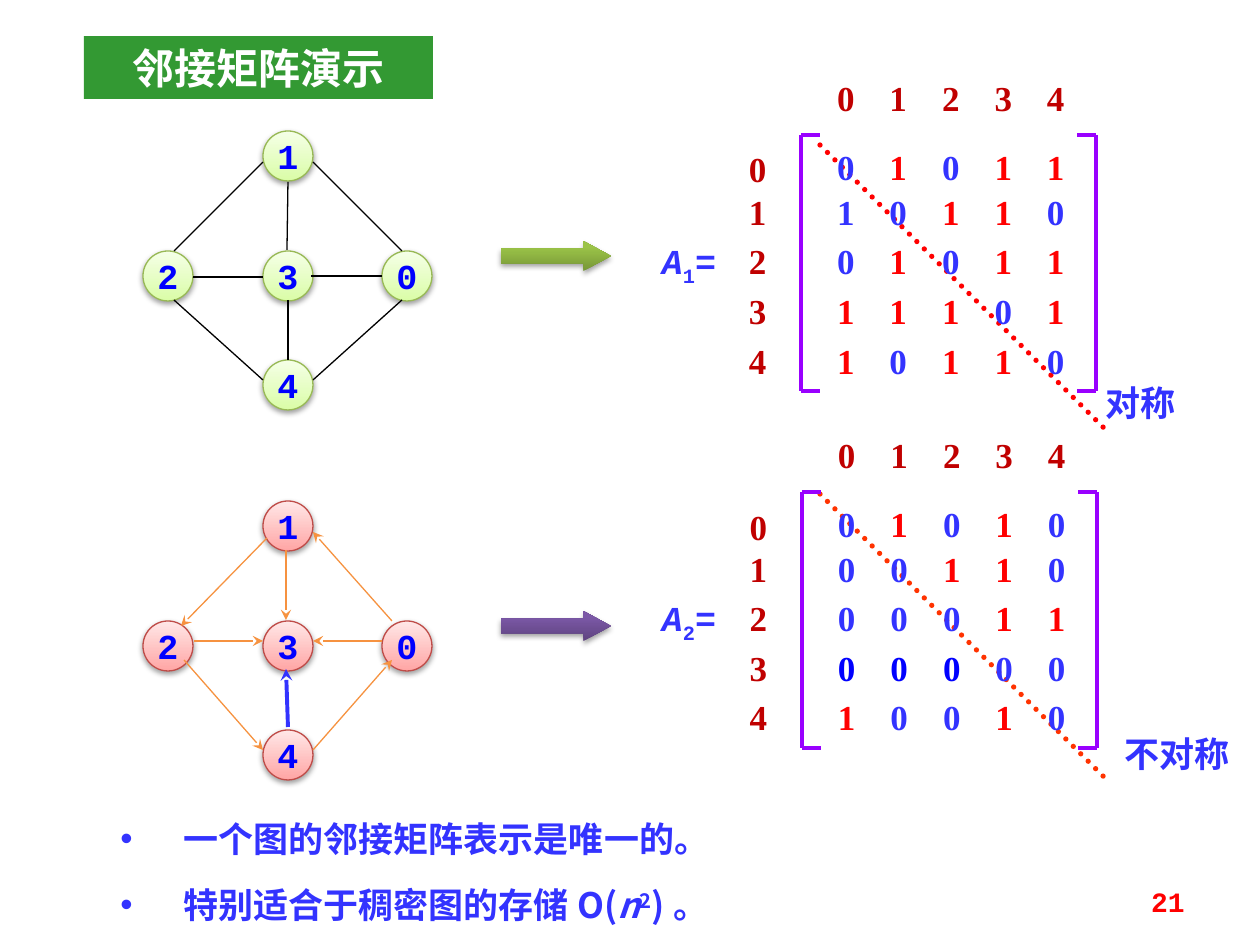
from lxml.etree import SubElement
from pptx import Presentation
from pptx.dml.color import RGBColor
from pptx.enum.dml import MSO_LINE
from pptx.enum.shapes import MSO_CONNECTOR, MSO_SHAPE
from pptx.enum.text import MSO_ANCHOR, MSO_AUTO_SIZE, PP_ALIGN
from pptx.oxml.ns import qn
from pptx.util import Emu, Pt

BLUE = RGBColor(0x33, 0x33, 0xFF)
DEEP = RGBColor(0x00, 0x00, 0xFF)
RED = RGBColor(0xFF, 0x00, 0x00)
DARK = RGBColor(0xC0, 0x00, 0x00)
FLAME = RGBColor(0xFF, 0x33, 0x00)
PURPLE = RGBColor(0x99, 0x00, 0xFF)
ORANGE = RGBColor(0xF6, 0x92, 0x40)
GREEN = RGBColor(0x33, 0x99, 0x33)
BLACK = RGBColor(0x00, 0x00, 0x00)
WHITE = RGBColor(0xFF, 0xFF, 0xFF)
LIME = RGBColor(0xDA, 0xFD, 0xA7), RGBColor(0xF5, 0xFF, 0xE7)
PINK = RGBColor(0xFF, 0xA6, 0xA5), RGBColor(0xFF, 0xE7, 0xE7)
LEAF = RGBColor(0x77, 0x97, 0x37), RGBColor(0x9B, 0xC3, 0x48)
PLUM = RGBColor(0x5F, 0x44, 0x80), RGBColor(0x7B, 0x58, 0xA6)
LIMERIM = RGBColor(0x98, 0xB9, 0x55)
PINKRIM = RGBColor(0xBF, 0x4C, 0x48)

MONO, SERIF, HAN = "Courier New", "Times New Roman", "Noto Sans CJK SC"

# Content
TITLE = "邻接矩阵演示"
NODES = {"1": (288, 156), "3": (288, 276), "2": (168, 276),
         "0": (407, 276), "4": (288, 385)}
EDGES = [(263, 162, 174, 251), (313, 162, 402, 251), (193, 277, 263, 277),
         (311, 276, 382, 276), (288, 182, 287, 250), (174, 300, 263, 380),
         (288, 300, 288, 360), (402, 300, 313, 380)]
ARCS = [(267, 538, 181, 626), (286, 550, 286, 620), (392, 621, 313, 532),
        (194, 641, 263, 641), (382, 641, 313, 641), (313, 750, 392, 660),
        (184, 660, 263, 750)]
BOLDARC = (288, 727, 286, 669)
GRAPHS = [  # offset down, node fill, rim, block arrow fill
    (0, LIME, LIMERIM, LEAF), (370, PINK, PINKRIM, PLUM)]
MATRICES = [  # name, offset, rows, cells in another colour
    ("1", (0, 0), ["01011", "10110", "01011", "11101", "10110"],
     {(1, 0): BLUE}),
    ("2", (1, 357), ["01010", "00110", "00011", "00000", "10010"],
     {(3, 0): DEEP, (3, 1): DEEP, (3, 2): DEEP})]
DIAGONALS = [  # top, colour, label, label box
    (145, RED, "对称", (1082, 375, 118, 54)),
    (494, FLAME, "不对称", (1103, 726, 149, 54))]
NOTES = [[("一个图的邻接矩阵表示是唯一的。", {})],
         [("特别适合于稠密图的存储 O(", {}), ("n", {"i": "1"}),
          ("2", {"baseline": "30000"}), (") 。", {})]]
ROWS = [145, 190, 239, 289, 339]
NODE = 50


def px(n):
    return Emu(round(n * 914400 / 126))


def style(par, size, name, color=None, bold=True, align=None):
    if align is not None:
        par.alignment = align
    font = par.font
    font.size, font.name, font.bold = Pt(size), name, bold
    if color is not None:
        font.color.rgb = color
    props = par._p.get_or_add_pPr().find(qn("a:defRPr"))
    SubElement(props, qn("a:ea")).set("typeface", HAN)


def fill_runs(par, runs):
    for text, attrs in runs:
        run = par.add_run()
        run.text = text
        for key, val in attrs.items():
            run._r.get_or_add_rPr().set(key, val)


def add_box(box, inset=True):
    frame = slide.shapes.add_textbox(*map(px, box)).text_frame
    frame.word_wrap = True
    if not inset:
        frame.margin_left = frame.margin_right = 0
        frame.margin_top = frame.margin_bottom = 0
    return frame


def add_label(box, text, size, name, color, align=PP_ALIGN.CENTER, inset=True):
    frame = add_box(box, inset)
    par = frame.paragraphs[0]
    par.add_run().text = text
    style(par, size, name, color, align=align)
    return frame


def add_row(box, text, colors):
    par = add_box(box, False).paragraphs[0]
    tabs = SubElement(par._p.get_or_add_pPr(), qn("a:tabLst"))
    for col in range(1, len(text)):
        tab = SubElement(tabs, qn("a:tab"))
        tab.set("pos", str(Pt(30 * col)))
        tab.set("algn", "l")
    style(par, 20, SERIF)
    for col, (digit, color) in enumerate(zip(text, colors)):
        run = par.add_run()
        run.text = "\t" + digit if col else digit
        run.font.color.rgb = color


def add_line(ends, color, width, dotted=False, head=False):
    line = slide.shapes.add_connector(MSO_CONNECTOR.STRAIGHT, *map(px, ends))
    line.line.color.rgb = color
    line.line.width = Pt(width)
    pen = line.line._get_or_add_ln()
    if dotted:
        line.line.dash_style = MSO_LINE.ROUND_DOT
        pen.set("cap", "rnd")
    if head:
        SubElement(pen, qn("a:tailEnd")).set("type", "stealth")
    SubElement(line._element.spPr, qn("a:effectLst"))


def add_shaded(kind, box, colors, stop, rim=None):
    shape = slide.shapes.add_shape(kind, *map(px, box))
    shape.fill.gradient()
    shape.fill.gradient_angle = 90
    for mark, color, pos in zip(shape.fill.gradient_stops, colors, (0, stop)):
        mark.color.rgb, mark.position = color, pos
    if rim is None:
        shape.line.fill.background()
    else:
        shape.line.color.rgb, shape.line.width = rim, Pt(0.75)
    # Soft shadow below
    shape.shadow.inherit = False
    glow = SubElement(shape._element.spPr.find(qn("a:effectLst")),
                      qn("a:outerShdw"))
    for key, val in (("blurRad", Pt(3.1)), ("dist", Pt(1.7)),
                     ("dir", 5400000), ("rotWithShape", 0)):
        glow.set(key, str(int(val)))
    tint = SubElement(glow, qn("a:srgbClr"))
    tint.set("val", "000000")
    SubElement(tint, qn("a:alpha")).set("val", "37000")
    return shape


deck = Presentation()
deck.slide_width, deck.slide_height = px(1260), px(945)
slide = deck.slides.add_slide(deck.slide_layouts[5])

# Title
title = slide.shapes.title
title.left, title.top, title.width, title.height = map(px, (84, 36, 349, 63))
title.fill.solid()
title.fill.fore_color.rgb = GREEN
head = title.text_frame
head.text = TITLE
head.auto_size = MSO_AUTO_SIZE.NONE
head.vertical_anchor = MSO_ANCHOR.MIDDLE
head.margin_top = head.margin_bottom = 0
style(head.paragraphs[0], 24, HAN, WHITE, align=PP_ALIGN.CENTER)

# Graphs with their block arrows
for down, tones, rim, block in GRAPHS:
    arrow = add_shaded(MSO_SHAPE.RIGHT_ARROW, (501, 241 + down, 110, 30),
                       block, 0.8)
    arrow.adjustments[1] = 0.92
    for name, (x, y) in NODES.items():
        box = (x - NODE / 2, y + down - NODE / 2, NODE, NODE)
        frame = add_shaded(MSO_SHAPE.OVAL, box, tones, 1, rim).text_frame
        frame.word_wrap = False
        frame.vertical_anchor = MSO_ANCHOR.MIDDLE
        par = frame.paragraphs[0]
        par.add_run().text = name
        style(par, 20, MONO, DEEP, align=PP_ALIGN.CENTER)
for ends in EDGES:
    add_line(ends, BLACK, 0.75)
for ends in ARCS:
    add_line(ends, ORANGE, 0.75, head=True)
add_line(BOLDARC, BLUE, 2.25, head=True)

# Diagonals
for top, color, text, box in DIAGONALS:
    add_line((820, top, 1108, top + 287), color, 3, dotted=True)
    add_label(box, text, 20, MONO, BLUE)

# Matrices
for name, (dx, dy), rows, odd in MATRICES:
    par = add_box((640, 233 + dy, 98, 55)).paragraphs[0]
    fill_runs(par, [("A", {"i": "1"}), (name, {"baseline": "-25000"}),
                    ("=", {})])
    style(par, 20, MONO, BLUE, align=PP_ALIGN.CENTER)
    add_row((837 + dx, 76 + dy, 248, 43), "01234", [DARK] * 5)
    for i, (top, row) in enumerate(zip(ROWS, rows)):
        colors = [odd.get((i, j), RED if digit == "1" else BLUE)
                  for j, digit in enumerate(row)]
        add_row((837 + dx, top + dy, 248, 43), row, colors)
        drop = 0 if i else 3
        add_label((728 + dx, top + drop + dy, 59, 43), str(i), 20, SERIF,
                  DARK, inset=False)
    # Brackets
    high, low = 135 + dy, 391 + dy
    for side, tip in ((801 + dx, 820 + dx), (1096 + dx, 1077 + dx)):
        add_line((side, high, side, low), PURPLE, 2.25)
        for y in (high, low):
            add_line((side, y, tip, y), PURPLE, 2.25)

# Notes
frame = add_box((108, 790, 808, 154))
for i, runs in enumerate(NOTES):
    par = frame.add_paragraph() if i else frame.paragraphs[0]
    props = par._p.get_or_add_pPr()
    props.set("marL", "457200")
    props.set("indent", "-457200")
    SubElement(props, qn("a:buFont")).set("typeface", "Arial")
    SubElement(props, qn("a:buChar")).set("char", "•")
    par.line_spacing = 1.5
    if i:
        par.space_before = Pt(2)
    style(par, 20, HAN, BLUE)
    fill_runs(par, runs)

# Page number
number = add_label((903, 876, 294, 50), "21", 16, MONO, RED, PP_ALIGN.RIGHT)
number.vertical_anchor = MSO_ANCHOR.MIDDLE

deck.save("out.pptx")
